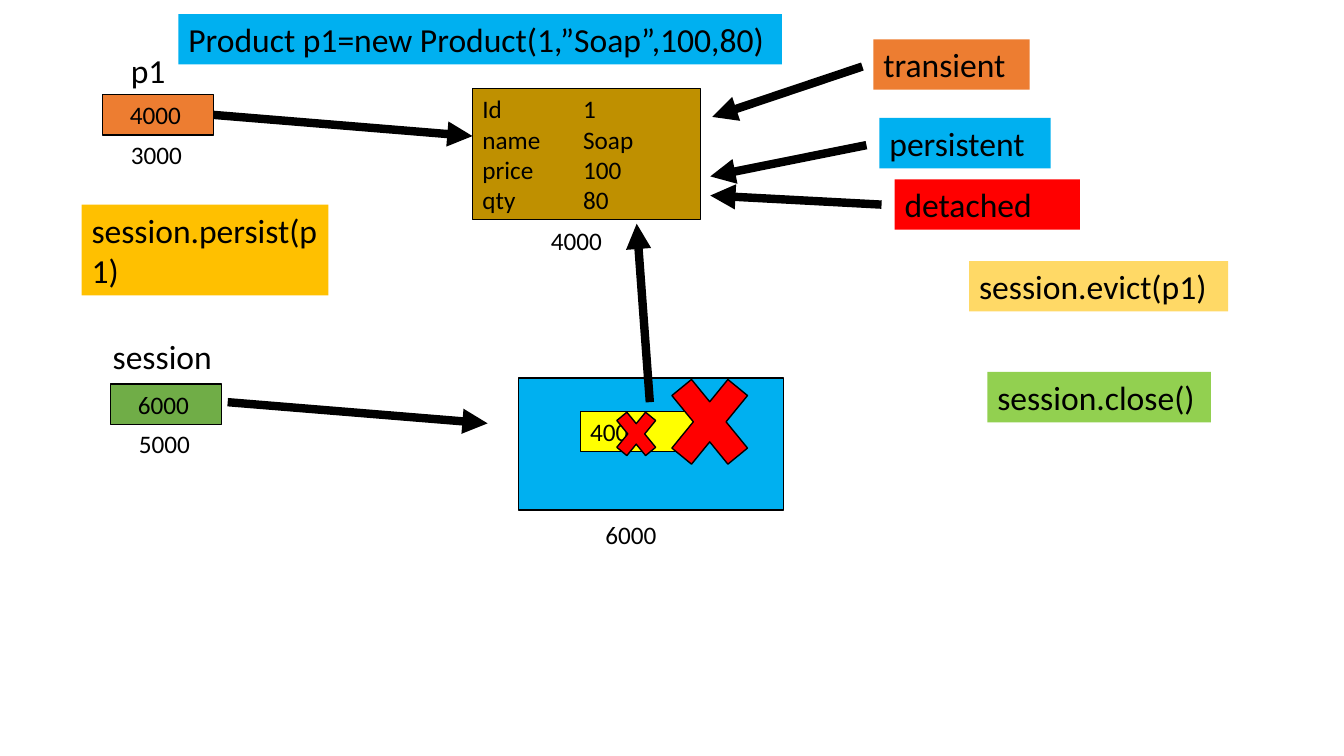
from lxml import etree
from pptx import Presentation
from pptx import util as u
from pptx.dml.color import RGBColor
from pptx.enum import shapes, text
from pptx.oxml.ns import qn

PX = 9144


def color(code):
    """Turn a hex string into a colour."""
    return RGBColor.from_string(code)


def write(shape, words, size=24, ink="000000", inset=10, tab=None):
    """Fill a shape with left-aligned lines of formatted text."""
    frame = shape.text_frame
    frame.word_wrap = True
    frame.auto_size = text.MSO_AUTO_SIZE.NONE
    frame.vertical_anchor = text.MSO_ANCHOR.TOP
    frame.margin_left, frame.margin_right = inset * PX, 10 * PX
    frame.margin_top = frame.margin_bottom = 5 * PX
    for index, line in enumerate(words.split("\n")):
        para = frame.paragraphs[0] if index == 0 else frame.add_paragraph()
        para.alignment = text.PP_ALIGN.LEFT
        if tab:
            stops = etree.SubElement(para._p.get_or_add_pPr(), qn("a:tabLst"))
            etree.SubElement(stops, qn("a:tab"), pos=str(tab * PX), algn="l")
        span = para.add_run()
        span.text = line
        span.font.name = "Calibri"
        span.font.size = u.Pt(size)
        span.font.color.rgb = color(ink)


class Diagram:
    """Draws the parts of an object-state diagram on one slide."""

    def __init__(self, deck):
        """Add the slide to the deck."""
        self.page = deck.slides.add_slide(deck.slide_layouts[5])

    def paint(self, shape, fill=None, line=None, width=0.75):
        """Set the fill and outline of a shape."""
        if fill:
            shape.fill.solid()
            shape.fill.fore_color.rgb = color(fill)
        else:
            shape.fill.background()
        if line:
            shape.line.color.rgb = color(line)
            shape.line.width = u.Pt(width)
        else:
            shape.line.fill.background()

    def title(self, words, place, fill):
        """Place the slide title on a coloured bar."""
        bar = self.page.shapes.title
        bar.left, bar.top, bar.width, bar.height = (n * PX for n in place)
        self.paint(bar, fill)
        write(bar, words)

    def box(self, words, place, fill=None, line=None, **style):
        """Draw a rectangle with optional text."""
        box = self.page.shapes.add_shape(
            shapes.MSO_SHAPE.RECTANGLE, *(n * PX for n in place))
        box.shadow.inherit = False
        self.paint(box, fill, line)
        if words:
            write(box, words, **style)
        return box

    def label(self, words, place, size=18):
        """Write plain text without a background."""
        write(self.page.shapes.add_textbox(*(n * PX for n in place)), words, size)

    def arrow(self, start, end, source=None):
        """Draw a thick arrow, joined to the right side of a source box."""
        arrow = self.page.shapes.add_connector(
            shapes.MSO_CONNECTOR.STRAIGHT, *(n * PX for n in start + end))
        if source is not None:
            arrow.begin_connect(source, 3)
        arrow.line.color.rgb = color("000000")
        arrow.line.width = u.Pt(6)
        etree.SubElement(arrow.line._get_or_add_ln(), qn("a:tailEnd"), type="triangle")
        etree.SubElement(arrow._element.spPr, qn("a:effectLst"))

    def cross(self, place):
        """Draw a red cross over a removed object."""
        cross = self.page.shapes.add_shape(
            shapes.MSO_SHAPE.MATH_MULTIPLY, *(n * PX for n in place))
        cross.shadow.inherit = False
        self.paint(cross, "FF0000", "000000", 1)


def main():
    """Build and save the slide."""
    deck = Presentation()
    deck.slide_width, deck.slide_height = 1334 * PX, 750 * PX
    art = Diagram(deck)
    art.title("Product p1=new Product(1,”Soap”,100,80)", (177, 14, 599, 50), "00B0F0")

    art.box("Id\t1\nname\tSoap\nprice\t100\nqty\t80", (469, 88, 226, 130),
            "BF9000", "000000", size=18, tab=100)
    art.label("p1", (120, 45, 84, 50), 24)
    art.label("session", (102, 328, 143, 50), 24)
    product = art.box("4000", (102, 94, 110, 40), "ED7D31", "000000", size=18, inset=27)
    art.box("6000", (110, 381, 110, 40), "70AD47", "000000", size=18, inset=27)
    art.box("", (515, 375, 263, 131), "00B0F0", "000000")
    art.box("4000", (576, 408, 112, 40), "FFFF00", "000000", size=18)

    for words, left, top in (("3000", 120, 133), ("4000", 537, 219),
                             ("6000", 591, 510), ("5000", 128, 420)):
        art.label(words, (left, top, 73, 40))

    for words, left, top, width, height, fill in (
            ("transient", 867, 39, 155, 50, "ED7D31"),
            ("persistent", 873, 117, 170, 50, "00B0F0"),
            ("detached", 888, 178, 184, 50, "FF0000"),
            ("session.persist(p1)", 81, 203, 245, 90, "FFC000"),
            ("session.evict(p1)", 962, 259, 257, 50, "FFD966"),
            ("session.close()", 980, 369, 222, 50, "92D050")):
        art.box(words, (left, top, width, height), fill)

    art.arrow((212, 114), (469, 135), product)
    for start, end in (((856, 66), (707, 116)), ((860, 144), (705, 175)),
                       ((875, 203), (705, 194)), ((226, 399), (484, 420)),
                       ((645, 399), (632, 222))):
        art.arrow(start, end)

    art.cross((604, 397, 55, 67))
    art.cross((651, 353, 107, 131))
    deck.save("out.pptx")


if __name__ == "__main__":
    main()
